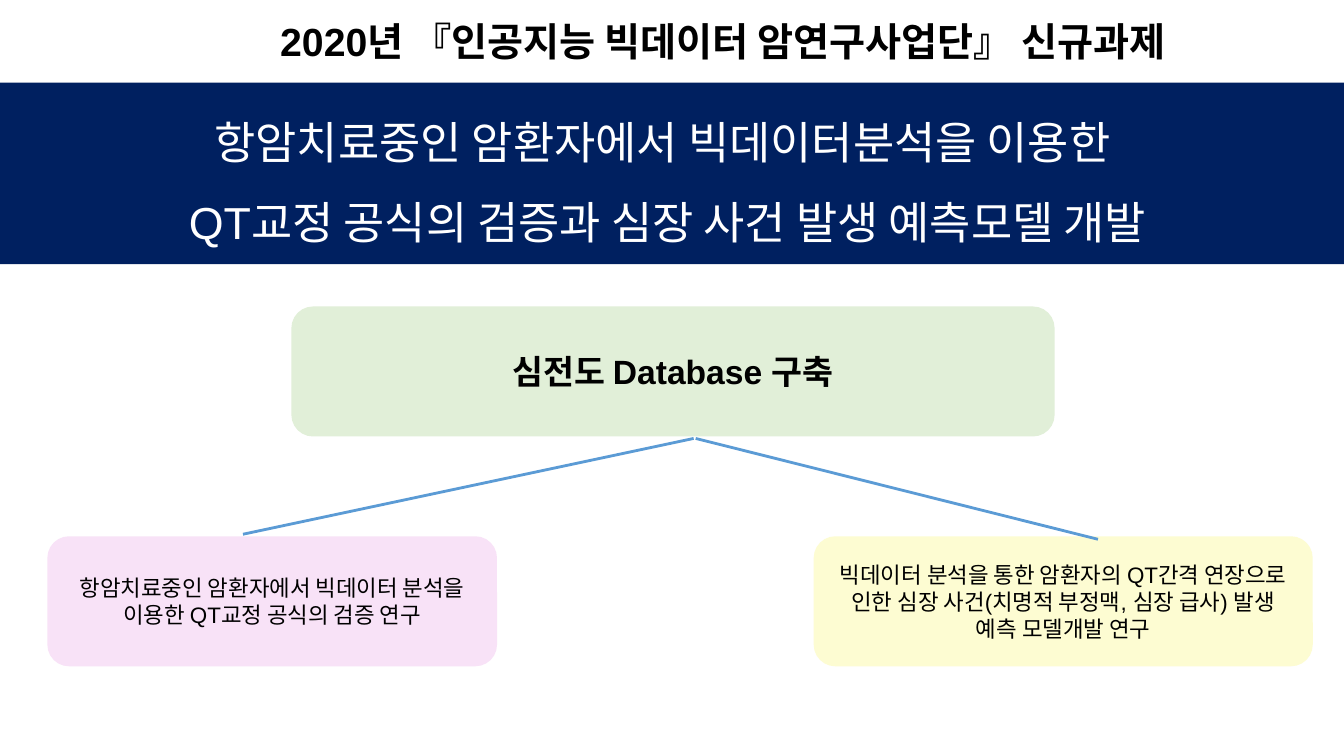
"""Build the slide on the new ECG big-data research project."""
import pptx
import pptx.util
import pptx.dml.color
import pptx.enum.shapes
import pptx.enum.text
import pptx.oxml.xmlchemy
from pptx.util import Inches

NAVY = pptx.dml.color.RGBColor(0x00, 0x20, 0x60)
WHITE = pptx.dml.color.RGBColor(0xFF, 0xFF, 0xFF)
BLACK = pptx.dml.color.RGBColor(0x00, 0x00, 0x00)
GREEN = pptx.dml.color.RGBColor(0xE1, 0xEF, 0xD8)
PINK = pptx.dml.color.RGBColor(0xF8, 0xE2, 0xF7)
YELLOW = pptx.dml.color.RGBColor(0xFD, 0xFC, 0xD2)
BLUE = pptx.dml.color.RGBColor(0x5B, 0x9B, 0xD5)
SHAPE = pptx.enum.shapes.MSO_SHAPE
ANCHOR = pptx.enum.text.MSO_ANCHOR


def add_box(kind, left, top, width, height, color):
    sp = s.shapes.add_shape(kind, Inches(left), Inches(top), Inches(width), Inches(height))
    sp.shadow.inherit = False
    sp.fill.solid()
    sp.fill.fore_color.rgb = color
    sp.line.fill.background()
    return sp


def write(sp, lines, size, color=BLACK, bold=False, anchor=ANCHOR.MIDDLE, spacing=None):
    tf = sp.text_frame
    tf.word_wrap = True
    tf.vertical_anchor = anchor
    tf.text = "\n".join(lines)
    for p in tf.paragraphs:
        p.alignment = pptx.enum.text.PP_ALIGN.CENTER
        p.line_spacing = spacing
        p.font.name = "Arial"
        p.font.size = pptx.util.Pt(size)
        p.font.bold = bold
        p.font.color.rgb = color


prs = pptx.Presentation()
prs.slide_width = Inches(13.33)
prs.slide_height = Inches(7.5)
s = prs.slides.add_slide(prs.slide_layouts[6])

add_box(SHAPE.RECTANGLE, 0, 0.82, 13.33, 1.8, NAVY)
title = s.shapes.add_textbox(Inches(0), Inches(0.82), Inches(13.25), Inches(1.59))
write(title, ["항암치료중인 암환자에서 빅데이터분석을 이용한 ",
              "QT교정 공식의 검증과 심장 사건 발생 예측모델 개발"],
      32, WHITE, anchor=ANCHOR.TOP, spacing=1.5)

heading = s.shapes.add_textbox(Inches(2.04), Inches(-0.01), Inches(10.26), Inches(0.83))
write(heading, ["2020년 『인공지능 빅데이터 암연구사업단』 신규과제"], 28, bold=True)

cards = [
    (2.89, 3.04, 7.57, GREEN, 24, True, "심전도 Database 구축"),
    (0.47, 5.32, 4.46, PINK, 16, False,
     "항암치료중인 암환자에서 빅데이터 분석을 이용한 QT교정 공식의 검증 연구"),
    (8.07, 5.32, 4.95, YELLOW, 16, False,
     "빅데이터 분석을 통한 암환자의 QT간격 연장으로 인한 심장 사건"
     "(치명적 부정맥, 심장 급사) 발생 예측 모델개발 연구"),
]
for left, top, width, color, size, bold, text in cards:
    card = add_box(SHAPE.ROUNDED_RECTANGLE, left, top, width, 1.29, color)
    write(card, [text], size, bold=bold)

for x1, x2, y2 in [(6.88, 2.41, 5.3), (6.9, 10.89, 5.35)]:
    branch = s.shapes.add_connector(pptx.enum.shapes.MSO_CONNECTOR.STRAIGHT,
                                    Inches(x1), Inches(4.35), Inches(x2), Inches(y2))
    branch.line.color.rgb = BLUE
    branch.line.width = pptx.util.Pt(2)
    branch._element.spPr.append(pptx.oxml.xmlchemy.OxmlElement("a:effectLst"))

prs.save("out.pptx")
